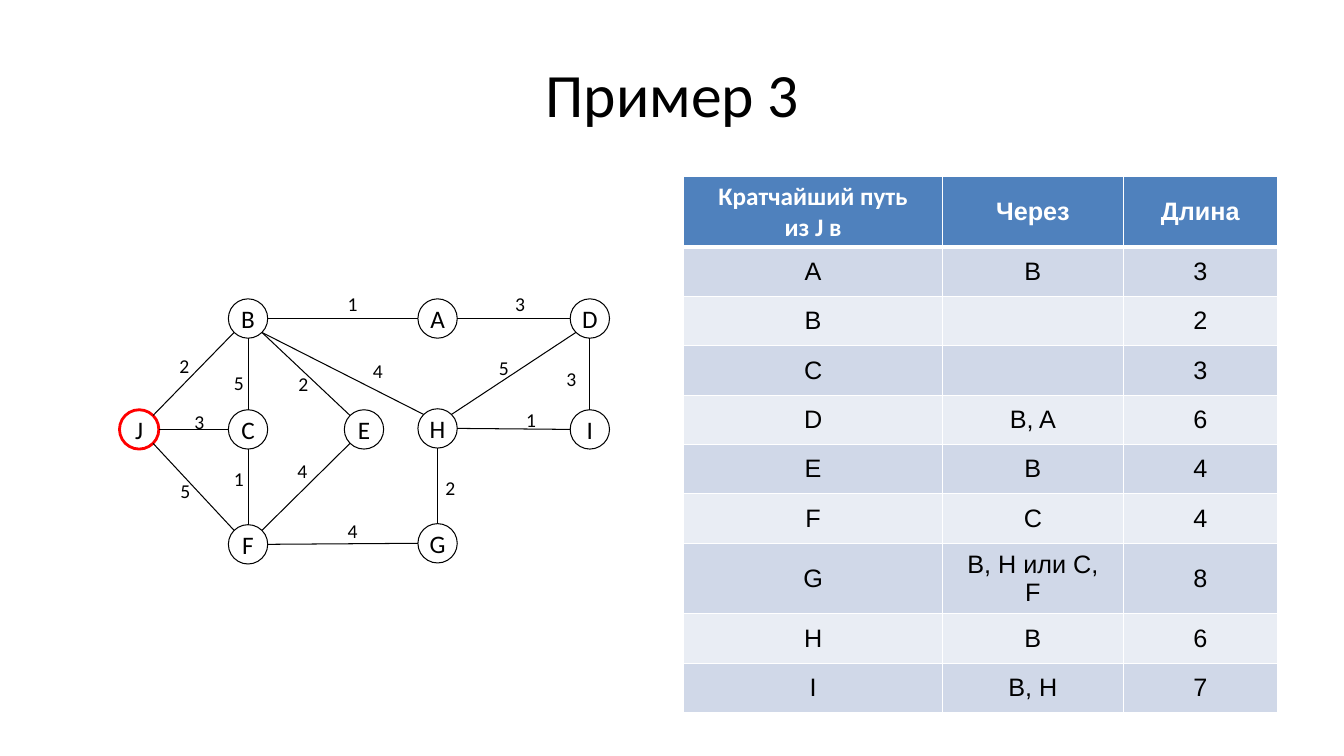
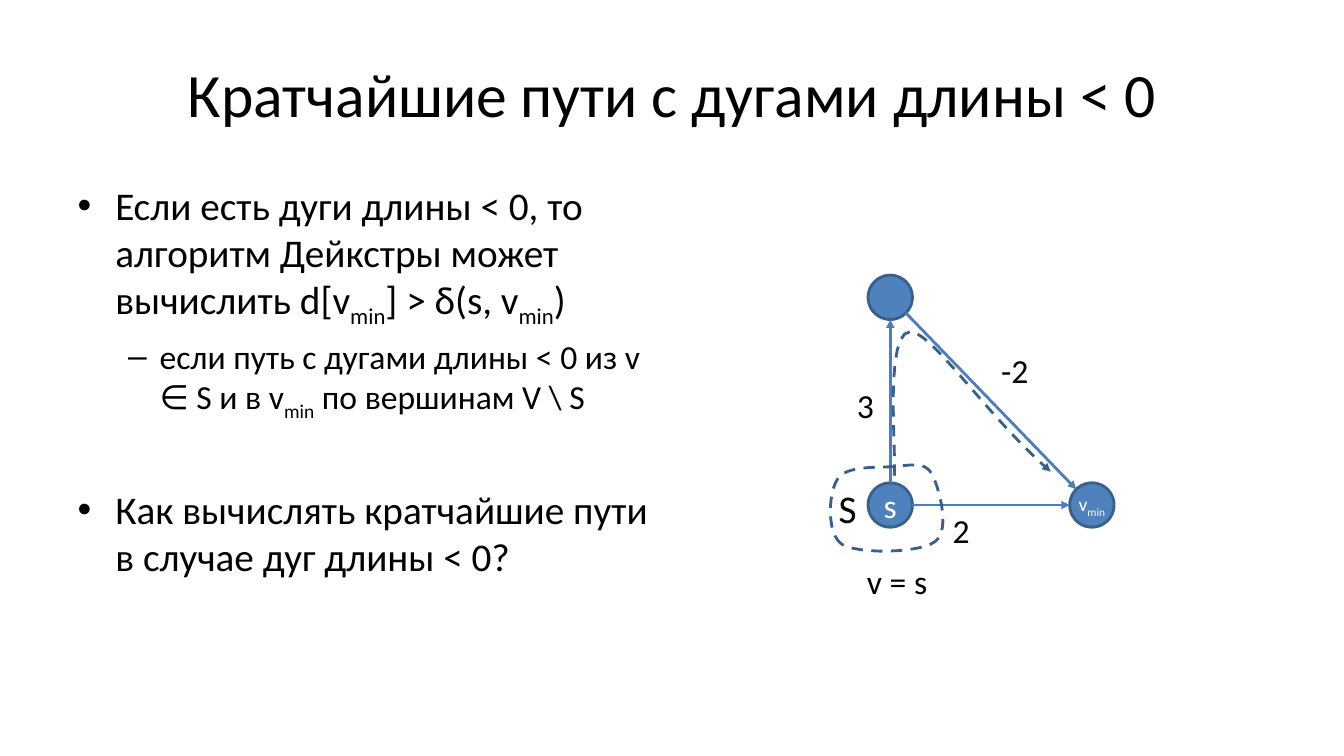
from dataclasses import dataclass
from math import sqrt

from lxml.etree import SubElement
from pptx import Presentation
from pptx.dml.color import RGBColor
from pptx.enum.dml import MSO_LINE
from pptx.enum.shapes import MSO_CONNECTOR, MSO_SHAPE
from pptx.enum.text import MSO_ANCHOR, MSO_AUTO_SIZE, PP_ALIGN
from pptx.oxml.ns import qn
from pptx.util import Inches, Pt


@dataclass(frozen=True)
class Theme:
    font: str = "Calibri"
    table_font: str = "Arial"
    black: str = "000000"
    white: str = "FFFFFF"
    red: str = "FF0000"
    blue: str = "4F81BD"
    edge: str = "4B7EBC"
    outline: str = "3A5F8C"
    band_dark: str = "D0D8E8"
    band_light: str = "E9EDF4"
    title: int = 44
    body: int = 28
    sub: int = 24
    node: int = 18
    small: int = 14
    thin: float = 0.75
    thick: float = 2


T = Theme()

TITLE_BOX = (0.67, 0.3, 12, 1.25)
BODY_BOX = (0.67, 1.75, 5.89, 4.95)

GRAPH_NODES = {
    "J": (1.38, 4.26), "B": (2.46, 3.16), "C": (2.46, 4.26), "F": (2.46, 5.4),
    "A": (4.34, 3.16), "H": (4.34, 4.25), "E": (3.61, 4.26), "G": (4.34, 5.39),
    "D": (5.85, 3.16), "I": (5.85, 4.26),
}
GRAPH_EDGES = [
    ("J", "B", "2", 1.68, 3.46), ("J", "C", "3", 1.83, 4.02),
    ("J", "F", "5", 1.69, 4.7), ("F", "E", "4", 2.85, 4.5),
    ("F", "G", "4", 3.35, 5.1), ("C", "B", "5", 2.22, 3.63),
    ("H", "G", "2", 4.32, 4.67), ("E", "B", "2", 2.86, 3.64),
    ("A", "D", "3", 5.01, 2.85), ("H", "B", "4", 3.6, 3.51),
    ("B", "A", "1", 3.35, 2.85), ("H", "D", "5", 4.85, 3.48),
    ("H", "I", "1", 5.12, 4), ("D", "I", "3", 5.52, 3.59),
    ("F", "C", "1", 2.22, 4.58),
]
GRAPH_D = 0.39

PATH_ROWS = [
    ("Кратчайший путь из J в", "Через", "Длина"),
    ("A", "B", "3"), ("B", "", "2"), ("C", "", "3"), ("D", "B, A", "6"),
    ("E", "B", "4"), ("F", "C", "4"), ("G", "B, H или C, F", "8"),
    ("H", "B", "6"), ("I", "B, H", "7"),
]
COL_WIDTHS = (2.57, 1.79, 1.53)
ROW_HEIGHT = 0.49

BULLETS = [
    (0, None, ["Если есть дуги длины < 0, то алгоритм Дейкстры может вычислить d[v",
               "min", "] > δ(s, v", "min", ")"]),
    (1, None, ["если путь с дугами длины < 0 из v ∈ S и в v", "min",
               " по вершинам V \\ S"]),
    (0, 45, ["Как вычислять кратчайшие пути в случае дуг длины < 0?"]),
]

ARC_D = 0.44
ARC_NODES = {
    "top": ((8.83, 2.95), [], T.sub),
    "v": ((10.83, 5.01), ["v", "min"], T.small),
    "s": ((8.83, 5.01), ["s"], T.sub),
}
ARCS = [("s", "top"), ("s", "v"), ("top", "v")]
ARC_LABELS = [
    ("-2", 9.83, 3.42, 0.48, T.sub), ("3", 8.4, 3.77, 0.37, T.sub),
    ("2", 9.35, 5.01, 0.37, T.sub), ("S", 8.22, 4.76, 0.38, T.body),
    ("v = s", 8.5, 5.52, 0.81, T.sub),
]
SET_OUTLINE = [
    (8.35, 5.4), (8.19, 5.29), (8.22, 4.87), (8.31, 4.75),
    (8.39, 4.62), (8.7, 4.64), (8.86, 4.63),
    (9.01, 4.62), (9.17, 4.57), (9.24, 4.7),
    (9.31, 4.82), (9.43, 5.25), (9.28, 5.37),
    (9.13, 5.49), (8.51, 5.5), (8.35, 5.4),
]
DETOUR = [
    (8.87, 4.72), (8.89, 4.46), (8.77, 3.29), (9.03, 3.29),
    (9.24, 3.29), (9.8, 4.14), (10.42, 4.68),
]


def rgb(value):
    return RGBColor.from_string(value)


def inches(values):
    return [Inches(v) for v in values]


def add_runs(p, parts, size, color=T.black, font=T.font, bold=False):
    for i, part in enumerate(parts):
        r = p.add_run()
        r.text = part
        r.font.size, r.font.name, r.font.bold = Pt(size), font, bold
        r.font.color.rgb = rgb(color)
        if i % 2:
            r.font._element.set("baseline", "-25000")


def place(shape, box):
    shape.left, shape.top, shape.width, shape.height = inches(box)


def new_slide(prs, layout, title):
    s = prs.slides.add_slide(prs.slide_layouts[layout])
    place(s.shapes.title, TITLE_BOX)
    tf = s.shapes.title.text_frame
    tf.vertical_anchor = MSO_ANCHOR.MIDDLE
    tf.paragraphs[0].alignment = PP_ALIGN.CENTER
    add_runs(tf.paragraphs[0], [title], T.title)
    return s


def add_label(s, text, x, y, w, size):
    tb = s.shapes.add_textbox(*inches((x, y, w, 0.1 + size * 0.017)))
    tf = tb.text_frame
    tf.word_wrap = False
    tf.auto_size = MSO_AUTO_SIZE.SHAPE_TO_FIT_TEXT
    add_runs(tf.paragraphs[0], [text], size)


def add_node(s, center, d, parts, size, fill, line, width, color):
    x, y = center
    sp = s.shapes.add_shape(MSO_SHAPE.OVAL, *inches((x - d / 2, y - d / 2, d, d)))
    sp.shadow.inherit = False
    sp.fill.solid()
    sp.fill.fore_color.rgb = rgb(fill)
    sp.line.color.rgb = rgb(line)
    sp.line.width = Pt(width)
    tf = sp.text_frame
    tf.word_wrap = False
    tf.margin_left = tf.margin_right = 0
    tf.vertical_anchor = MSO_ANCHOR.MIDDLE
    tf.paragraphs[0].alignment = PP_ALIGN.CENTER
    add_runs(tf.paragraphs[0], parts, size, color)


def add_arrowhead(shape):
    ln = shape._element.spPr.find(qn("a:ln"))
    SubElement(ln, qn("a:tailEnd"), type="triangle")


def sign(v):
    return 0 if abs(v) < 0.1 else (1 if v > 0 else -1)


def add_edge(s, a, b, d, color, width, arrow=False):
    dx, dy = sign(b[0] - a[0]), sign(b[1] - a[1])
    k = d / 2 / sqrt(dx * dx + dy * dy)
    ends = (a[0] + dx * k, a[1] + dy * k, b[0] - dx * k, b[1] - dy * k)
    c = s.shapes.add_connector(MSO_CONNECTOR.STRAIGHT, *inches(ends))
    c.line.color.rgb = rgb(color)
    c.line.width = Pt(width)
    if arrow:
        add_arrowhead(c)
    SubElement(c._element.spPr, qn("a:effectLst"))


def bezier_points(pts, steps=12):
    out = [pts[0]]
    for i in range(0, len(pts) - 1, 3):
        for n in range(1, steps + 1):
            t = n / steps
            u = 1 - t
            weights = (u ** 3, 3 * u * u * t, 3 * u * t * t, t ** 3)
            out.append(tuple(sum(w * p[axis] for w, p in zip(weights, pts[i:i + 4]))
                             for axis in (0, 1)))
    return out


def add_dashed_curve(s, pts, close=False, arrow=False):
    start, *rest = [tuple(inches(p)) for p in bezier_points(pts)]
    fb = s.shapes.build_freeform(*start)
    fb.add_line_segments(rest, close=close)
    sp = fb.convert_to_shape()
    sp.shadow.inherit = False
    sp.fill.background()
    sp.line.color.rgb = rgb(T.outline)
    sp.line.width = Pt(T.thick)
    sp.line.dash_style = MSO_LINE.DASH
    if arrow:
        add_arrowhead(sp)


def set_borders(cell, row):
    tcPr = cell._tc.get_or_add_tcPr()
    heavy = {(0, "lnB"), (1, "lnT")}
    for side in ("lnL", "lnR", "lnT", "lnB"):
        width = Pt(3 if (row, side) in heavy else 1)
        ln = SubElement(tcPr, qn("a:" + side), w=str(width))
        fill = SubElement(ln, qn("a:solidFill"))
        SubElement(fill, qn("a:srgbClr"), val=T.white)


def add_path_table(s):
    box = (6.78, 1.75, sum(COL_WIDTHS), ROW_HEIGHT * len(PATH_ROWS))
    table = s.shapes.add_table(len(PATH_ROWS), len(COL_WIDTHS), *inches(box)).table
    for col, width in zip(table.columns, COL_WIDTHS):
        col.width = Inches(width)
    for i, row in enumerate(PATH_ROWS):
        table.rows[i].height = Inches(ROW_HEIGHT)
        header = i == 0
        fill = T.blue if header else (T.band_dark if i % 2 else T.band_light)
        for j, text in enumerate(row):
            cell = table.cell(i, j)
            set_borders(cell, i)
            cell.fill.solid()
            cell.fill.fore_color.rgb = rgb(fill)
            cell.vertical_anchor = MSO_ANCHOR.MIDDLE
            cell.margin_left = cell.margin_right = Inches(0.24)
            p = cell.text_frame.paragraphs[0]
            p.alignment = PP_ALIGN.CENTER
            if text:
                add_runs(p, [text], T.node, T.white if header else T.black,
                         T.font if header and j == 0 else T.table_font, header)


def build_example(prs):
    s = new_slide(prs, 5, "Пример 3")
    for name, center in GRAPH_NODES.items():
        line, width = (T.red, T.thick) if name == "J" else (T.black, T.thin)
        add_node(s, center, GRAPH_D, [name], T.node, T.white, line, width, T.black)
    for a, b, weight, x, y in GRAPH_EDGES:
        add_edge(s, GRAPH_NODES[a], GRAPH_NODES[b], GRAPH_D, T.black, T.thin)
        add_label(s, weight, x, y, 0.31, T.small)
    add_path_table(s)


def build_negative_arcs(prs):
    s = new_slide(prs, 1, "Кратчайшие пути с дугами длины < 0")
    body = s.placeholders[1]
    place(body, BODY_BOX)
    tf = body.text_frame
    tf.auto_size = MSO_AUTO_SIZE.NONE
    for i, (level, gap, parts) in enumerate(BULLETS):
        p = tf.add_paragraph() if i else tf.paragraphs[0]
        p.level = level
        if gap:
            p.space_before = Pt(gap)
        add_runs(p, parts, T.sub if level else T.body)
    for center, parts, size in ARC_NODES.values():
        add_node(s, center, ARC_D, parts, size, T.blue, T.outline, T.thick, T.white)
    for a, b in ARCS:
        add_edge(s, ARC_NODES[a][0], ARC_NODES[b][0], ARC_D, T.edge, T.thick, arrow=True)
    add_dashed_curve(s, SET_OUTLINE, close=True)
    add_dashed_curve(s, DETOUR, arrow=True)
    for label in ARC_LABELS:
        add_label(s, *label)


def main():
    prs = Presentation()
    prs.slide_width, prs.slide_height = Inches(13.33), Inches(7.5)
    build_example(prs)
    build_negative_arcs(prs)
    prs.save("out.pptx")


if __name__ == "__main__":
    main()
